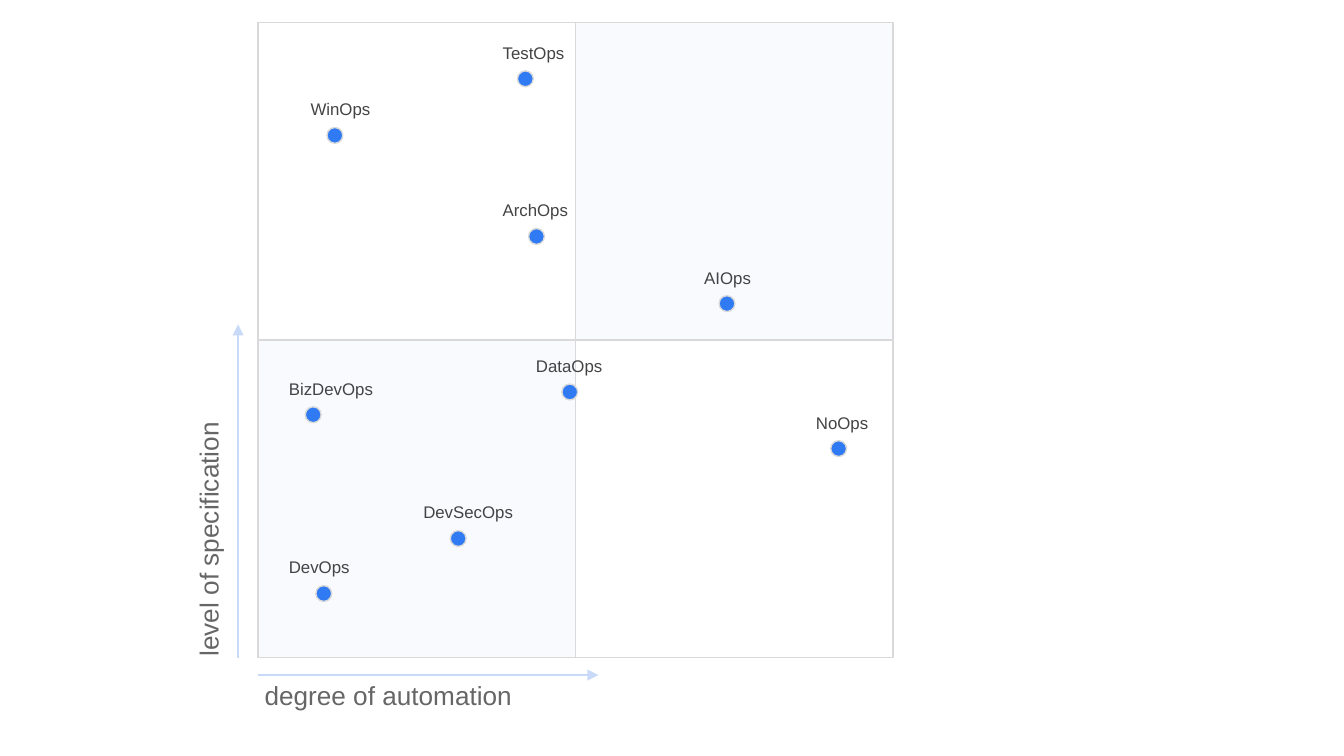
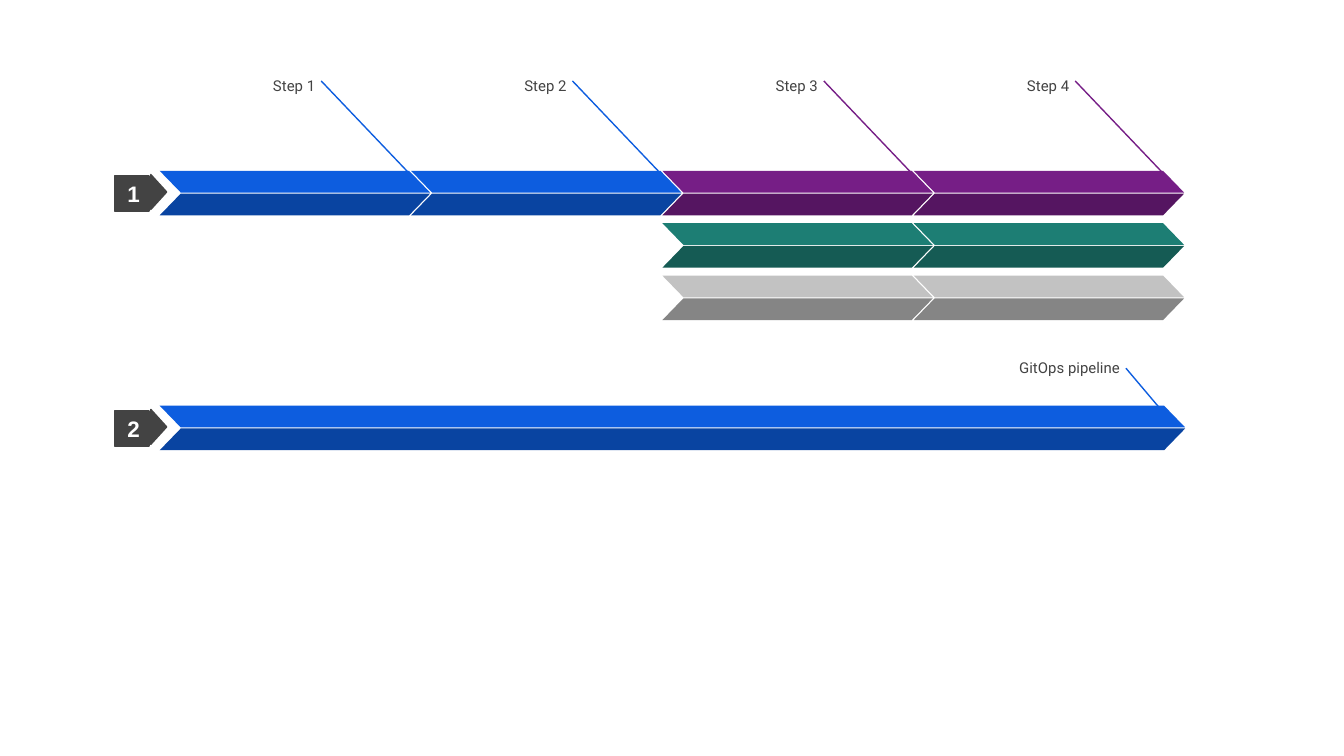
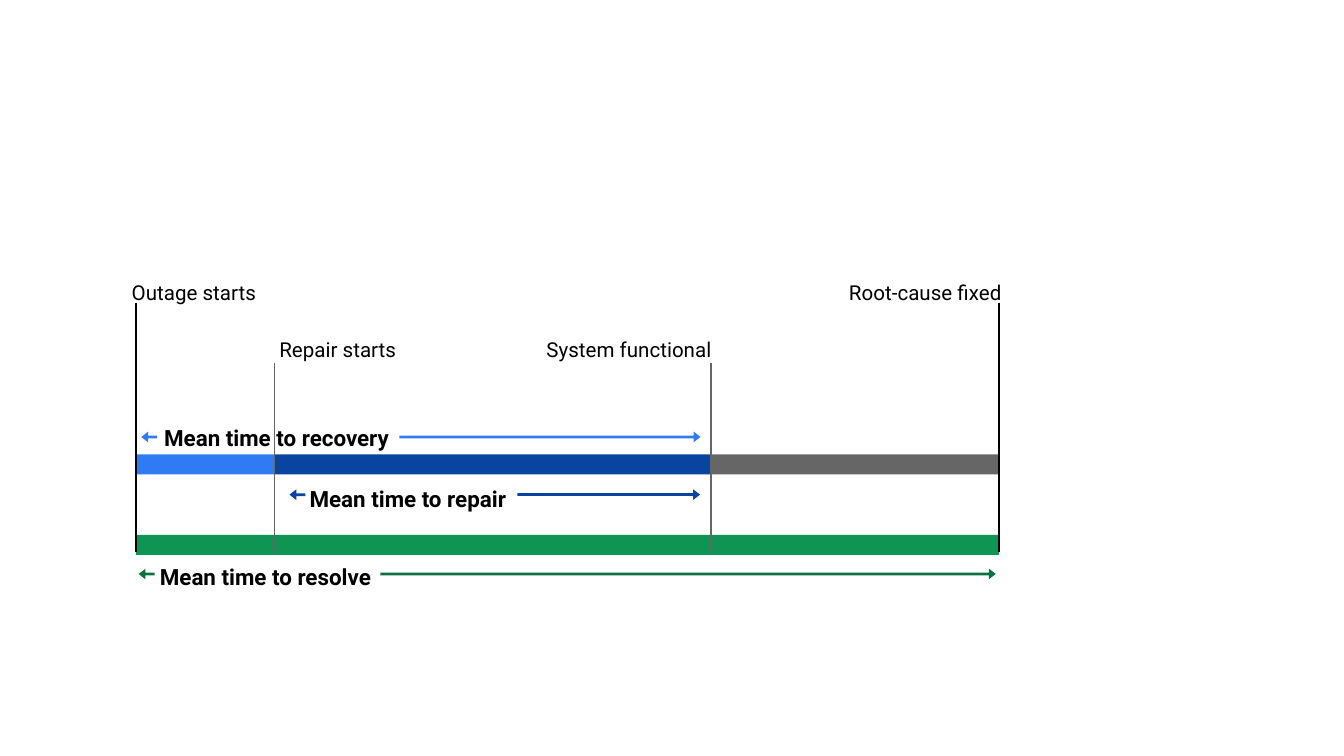
from pptx import Presentation
from pptx.dml.color import RGBColor
from pptx.enum.shapes import MSO_CONNECTOR, MSO_SHAPE
from pptx.enum.text import MSO_ANCHOR, PP_ALIGN
from pptx.oxml.ns import qn
from pptx.util import Cm, Pt
from lxml.etree import SubElement

# Shared colours
BLACK, WHITE = "000000", "FFFFFF"
DARK, GREY, BORDER = "434343", "666666", "D9D9D9"
PALE_BLUE, BRIGHT_BLUE, BLUE, NAVY = "C9DAF8", "307BF3", "0D5DDF", "0944A1"
PURPLE, PLUM = "761E86", "551561"
TEAL, DARK_TEAL = "1D7E74", "155B54"
SILVER, STEEL = "C2C2C2", "858585"
GREEN, DARK_GREEN = "0E9453", "0B7140"

# Shared text formats: font values, paragraph values and colour
SPACED = {"line_spacing": 1.15, "space_after": Pt(16)}
LEFT, RIGHT, CENTER = ({"alignment": side} for side in
                       (PP_ALIGN.LEFT, PP_ALIGN.RIGHT, PP_ALIGN.CENTER))
AXIS_TEXT = ({"name": "Arial", "size": Pt(14)}, LEFT, GREY)
POINT_TEXT = ({"name": "Arial", "size": Pt(9)}, LEFT, DARK)
TAG_TEXT = ({"name": "Arial", "size": Pt(12), "bold": True}, CENTER, WHITE)
CALLOUT_TEXT = ({"name": "Roboto", "size": Pt(8)}, SPACED | RIGHT, DARK)
SPAN_TEXT = ({"name": "Roboto", "size": Pt(12), "bold": True}, SPACED | CENTER, BLACK)
EVENT_FONT = {"name": "Roboto", "size": Pt(11)}

LINE_WIDTH = Pt(0.75)


def colour(hex_value):
    return RGBColor.from_string(hex_value)


def apply(target, values):
    for name, value in values.items():
        setattr(target, name, value)


def write(shape, text, text_format, anchor=MSO_ANCHOR.TOP):
    font_values, paragraph_values, text_colour = text_format
    inset = Cm(0.25)
    apply(shape.text_frame, {
        "word_wrap": True, "vertical_anchor": anchor, "margin_left": inset,
        "margin_right": inset, "margin_top": inset, "margin_bottom": inset})
    paragraph = shape.text_frame.paragraphs[0]
    apply(paragraph, paragraph_values)
    run = paragraph.add_run()
    run.text = text
    apply(run.font, font_values)
    run.font.color.rgb = colour(text_colour)


def add_label(slide, text, left, top, width, height, text_format):
    label = slide.shapes.add_textbox(Cm(left), Cm(top), Cm(width), Cm(height))
    write(label, text, text_format)
    return label


def add_block(slide, kind, left, top, width, height, fill=None, line=None, adjustments=()):
    shape = slide.shapes.add_shape(kind, Cm(left), Cm(top), Cm(width), Cm(height))
    shape.shadow.inherit = False
    if fill:
        shape.fill.solid()
        shape.fill.fore_color.rgb = colour(fill)
    else:
        shape.fill.background()
    if line:
        shape.line.color.rgb = colour(line)
        shape.line.width = LINE_WIDTH
    else:
        shape.line.fill.background()
    for index, value in enumerate(adjustments):
        shape.adjustments[index] = value
    return shape


def add_line(slide, start, end, line, arrow=False):
    connector = slide.shapes.add_connector(
        MSO_CONNECTOR.STRAIGHT, *(Cm(value) for value in (*start, *end)))
    connector.line.color.rgb = colour(line)
    connector.line.width = LINE_WIDTH
    if arrow:
        SubElement(connector.line._get_or_add_ln(), qn("a:tailEnd"), type="triangle")
    SubElement(connector.element.spPr, qn("a:effectLst"))


# Slide 1: quadrant matrix
def add_quadrants(slide, left, top, size):
    half = size / 2
    for row in range(2):
        for column in range(2):
            shaded = row != column
            quadrant = add_block(slide, MSO_SHAPE.RECTANGLE, left + column * half,
                                 top + row * half, half, half,
                                 PALE_BLUE if shaded else None, BORDER)
            if shaded:
                tint = quadrant.element.spPr.find(qn("a:solidFill"))[0]
                SubElement(tint, qn("a:alpha"), val="11000")


def add_axes(slide, left, top, size):
    bottom = top + size
    add_line(slide, (left, bottom + 0.33), (left + 6.43, bottom + 0.33), PALE_BLUE, True)
    add_line(slide, (left - 0.38, bottom), (left - 0.38, bottom - 6.3), PALE_BLUE, True)
    add_label(slide, "degree of automation", left - 0.13, bottom + 0.17, 5.84, 0.94, AXIS_TEXT)
    vertical = add_label(slide, "level of specification", left - 3.94, bottom - 3.16,
                         5.84, 0.94, AXIS_TEXT)
    vertical.rotation = 270


def add_points(slide, left, top):
    # Name, dot left, dot top, label left, label width
    points = [
        ("DevOps", 1.09, 10.64, 0.33, 1.8),
        ("BizDevOps", 0.89, 7.26, 0.33, 2.51),
        ("DevSecOps", 3.63, 9.6, 2.87, 2.36),
        ("DataOps", 5.74, 6.83, 5, 2.36),
        ("NoOps", 10.82, 7.9, 10.29, 2.36),
        ("AIOps", 8.71, 5.16, 8.18, 2.36),
        ("ArchOps", 5.11, 3.89, 4.37, 2.36),
        ("TestOps", 4.9, 0.91, 4.37, 2.36),
        ("WinOps", 1.3, 1.98, 0.74, 2.36),
    ]
    for name, dot_left, dot_top, label_left, label_width in points:
        add_block(slide, MSO_SHAPE.OVAL, left + dot_left, top + dot_top, 0.3, 0.3,
                  BRIGHT_BLUE, BORDER)
        add_label(slide, name, left + label_left, top + dot_top - 0.73,
                  label_width, 0.71, POINT_TEXT)


def build_matrix_slide(slide):
    left, top, size = 4.88, 0.43, 12
    add_quadrants(slide, left, top, size)
    add_axes(slide, left, top, size)
    add_points(slide, left, top)


# Slide 2: pipelines
def add_band(slide, left, top, width, upper, lower):
    for offset, fill, flipped in ((0, upper, True), (0.43, lower, False)):
        half = add_block(slide, MSO_SHAPE.PARALLELOGRAM, left, top + offset, width, 0.41,
                         fill, adjustments=[0.97])
        if flipped:
            half.element.spPr.xfrm.set("flipH", "1")


def add_callout(slide, text, right, top, line, reach, rise, inset, lift, width):
    start = (right - reach, top - rise)
    add_line(slide, start, (right - inset, top + 0.38), line)
    add_label(slide, text, start[0] + 0.14 - width, start[1] - lift, width, 0.66, CALLOUT_TEXT)


def add_number_tag(slide, number, left, top):
    tip = add_block(slide, MSO_SHAPE.ISOSCELES_TRIANGLE, left + 0.51, top + 0.15,
                    0.66, 0.3, DARK, DARK)
    tip.rotation = 90
    tag = add_block(slide, MSO_SHAPE.RECTANGLE, left, top, 0.66, 0.66, DARK, DARK)
    write(tag, number, TAG_TEXT, MSO_ANCHOR.MIDDLE)


def add_step_pipeline(slide, left, top):
    pitch, width = 4.75, 5.11
    step_colours = [(BLUE, NAVY)] * 2 + [(PURPLE, PLUM)] * 2
    for step, (upper, lower) in enumerate(step_colours):
        step_left = left + step * pitch
        add_callout(slide, f"Step {step + 1}", step_left + width, top, upper,
                    reach=2.06, rise=1.7, inset=0.08, lift=0.33, width=1.73)
        add_band(slide, step_left, top, width, upper, lower)
    # Parallel branches below the last two steps
    for row, (upper, lower) in enumerate([(TEAL, DARK_TEAL), (SILVER, STEEL)], 1):
        for step in (2, 3):
            add_band(slide, left + step * pitch, top + row * 0.99, width, upper, lower)


def add_single_pipeline(slide, left, top):
    width = 19.38
    add_callout(slide, "GitOps pipeline", left + width, top, BLUE,
                reach=1.12, rise=0.71, inset=0.2, lift=0.43, width=6.58)
    add_band(slide, left, top, width, BLUE, NAVY)


def build_pipeline_slide(slide):
    left = 3.02
    pipelines = [("1", 3.23, add_step_pipeline), ("2", 7.67, add_single_pipeline)]
    for number, top, add_pipeline in pipelines:
        add_pipeline(slide, left, top)
        add_number_tag(slide, number, left - 0.86, top + 0.1)


# Slide 3: outage timeline
def add_bars(slide, left, top):
    bars = [(0, 2.62, 2.87, BRIGHT_BLUE), (2.62, 10.87, 2.87, NAVY),
            (10.87, 16.31, 2.87, GREY), (0, 16.31, 4.39, GREEN)]
    for start, end, bar_top, fill in bars:
        add_block(slide, MSO_SHAPE.RECTANGLE, left + start, top + bar_top,
                  end - start, 0.38, fill)


def add_events(slide, left, top):
    # Name, marker position, marker top, marker colour, label left, label top, alignment
    events = [
        ("Outage starts", 0, 0, BLACK, -0.33, -0.74, LEFT),
        ("Repair starts", 2.62, 1.14, GREY, 2.46, 0.33, LEFT),
        ("System functional", 10.87, 1.14, GREY, 5.87, 0.33, RIGHT),
        ("Root-cause fixed", 16.31, 0, BLACK, 11.35, -0.74, RIGHT),
    ]
    for name, position, start, line, label_left, label_top, alignment in events:
        marker = left + position
        add_line(slide, (marker, top + start), (marker, top + 4.72), line)
        add_label(slide, name, left + label_left, top + label_top, 5.26, 1.04,
                  (EVENT_FONT, SPACED | alignment, BLACK))


def add_spans(slide, left, top):
    # Name, label left and top, arrow top, left arrow, right arrow, its width, colour
    spans = [
        ("Mean time to recovery", 0.03, 1.98, 2.44, 0.1, 4.98, 5.69, BRIGHT_BLUE),
        ("Mean time to repair", 2.51, 3.12, 3.53, 2.9, 7.21, 3.45, NAVY),
        ("Mean time to resolve", -0.18, 4.6, 5.03, 0.05, 4.62, 11.63, DARK_GREEN),
    ]
    for name, label_left, label_top, arrow_top, back, forward, width, fill in spans:
        add_label(slide, name, left + label_left, top + label_top, 5.26, 1.04, SPAN_TEXT)
        for start, length, rotation in ((back, 0.3, 180), (forward, width, 0)):
            arrow = add_block(slide, MSO_SHAPE.RIGHT_ARROW, left + start, top + arrow_top,
                              length, 0.2, fill, adjustments=[0.255, 0.643])
            arrow.rotation = rotation


def build_timeline_slide(slide):
    left, top = 2.57, 5.72
    add_spans(slide, left, top)
    add_bars(slide, left, top)
    add_events(slide, left, top)


def main():
    presentation = Presentation()
    presentation.slide_width, presentation.slide_height = Cm(25.4), Cm(14.29)
    blank_layout = presentation.slide_layouts[6]
    for build in (build_matrix_slide, build_pipeline_slide, build_timeline_slide):
        slide = presentation.slides.add_slide(blank_layout)
        slide.background.fill.solid()
        slide.background.fill.fore_color.rgb = colour(WHITE)
        build(slide)
    presentation.save("out.pptx")


if __name__ == "__main__":
    main()
